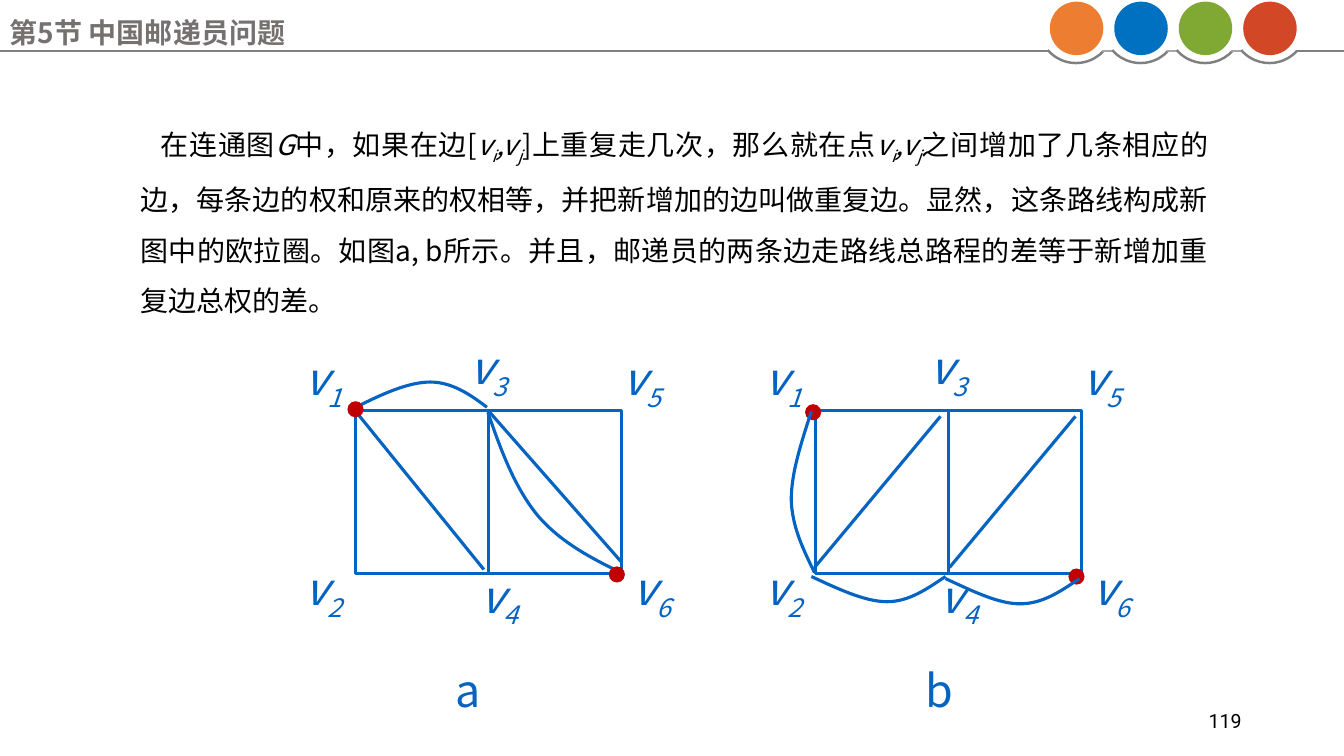
import pptx
import pptx.dml.color
import pptx.enum.shapes
import pptx.enum.text
import pptx.oxml.ns
import pptx.util
from lxml import etree

Pt = pptx.util.Pt
RGBColor = pptx.dml.color.RGBColor
SHAPE = pptx.enum.shapes.MSO_SHAPE
ALIGN = pptx.enum.text.PP_ALIGN
ANCHOR = pptx.enum.text.MSO_ANCHOR
qn = pptx.oxml.ns.qn

BLACK = RGBColor(0x00, 0x00, 0x00)
TITLE_GRAY = RGBColor(0x76, 0x71, 0x71)
RULE_GRAY = RGBColor(0x80, 0x80, 0x80)
GAP_GRAY = RGBColor(0xA6, 0xA6, 0xA6)
EDGE_BLUE = RGBColor(0x05, 0x63, 0xC1)
DOT_RED = RGBColor(0xC0, 0x00, 0x00)
CIRCLE_COLORS = [RGBColor(0xED, 0x7D, 0x31), RGBColor(0x00, 0x70, 0xC0),
                 RGBColor(0x80, 0xA9, 0x33), RGBColor(0xD2, 0x47, 0x26)]

CJK = "Noto Sans CJK SC"
RULE_Y, RULE_WIDTH, EDGE_WIDTH = 36.4, 1.77, 2.25
CIRCLE_LEFT, CIRCLE_PITCH, CIRCLE_SIZE, ARC_SIZE = 749.9, 46.05, 38.2, 53.3
GRAPH_TOP, CELL_W, CELL_H = 293, 95, 116.6
GRAPH_A, GRAPH_B = 253.8, 582.3
VERTEX_LABELS = {"1": (-43.5, 251.3), "3": (74.5, 243.4), "5": (184, 251.3),
                 "2": (-43.5, 401.3), "4": (82, 406.8), "6": (191, 401.3)}
BODY_RUNS = [
    ("在连通图", ""), ("G", "i"), ("中，如果在边[", ""),
    ("v", "i"), ("i", "sub"), (",v", "i"), ("j", "sub"),
    ("]上重复走几次，那么就在点", ""),
    ("v", "i"), ("i", "sub"), (",v", "i"), ("j", "sub"),
    ("之间增加了几条相应的边，每条边的权和原来的权相等，并把新增加的边叫做重复边。"
     "显然，这条路线构成新图中的欧拉圈。如图a, b所示。并且，邮递员的两条边走路线"
     "总路程的差等于新增加重复边总权的差。", ""),
]
CURVES_A = [
    [(254.2, 290.9), (272.9, 281.5), (291.6, 272.9), (307.4, 272.9),
     (322.6, 272.9), (335.5, 281.5), (347.8, 290.9)],
    [(443.5, 409), (421.2, 398.2), (399.6, 386.6), (383.8, 367.9),
     (367.9, 348.5), (357.8, 321.8), (348.5, 294.5)],
]
CURVES_B = [
    [(579.6, 411.8), (598.3, 420.5), (617.8, 429.8), (633.6, 429.8),
     (649.4, 429.8), (662.4, 420.5), (675.4, 411.8)],
    [(675.4, 413.3), (694.1, 421.9), (712.8, 431.3), (728.6, 431.3),
     (745.2, 431.3), (758.2, 421.9), (771.1, 413.3)],
    [(581.8, 409), (573.8, 392.4), (565.9, 376.6), (565.2, 357.1),
     (565.2, 337.7), (572.4, 316.1), (579.6, 293.8)],
]
DOTS = [(434.9, 404.6), (248.2, 286.6), (575.1, 288.7), (763.2, 406.1)]


def add_run(p, text, size, color, font=CJK, style="", bold=False):
    """Append a run; style is empty, i for italic or sub for italic subscript."""
    r = p.add_run()
    r.text = text
    r.font.size = Pt(size)
    r.font.bold = bold
    r.font.italic = style != ""
    r.font.color.rgb = color
    r.font.name = font
    props = r.font._element
    etree.SubElement(props, qn("a:ea")).set("typeface", font)
    if style == "sub":
        props.set("baseline", "-25000")


def add_text(s, x, y, w, h, wrap=True):
    """Add a text box and return its text frame."""
    tf = s.shapes.add_textbox(Pt(x), Pt(y), Pt(w), Pt(h)).text_frame
    tf.word_wrap = wrap
    return tf


def add_label(s, x, y, w, runs):
    """Add a large blue graph label made of (text, style) runs."""
    p = add_text(s, x, y, w, 40.3, wrap=False).paragraphs[0]
    p.line_spacing = 0.8
    for text, style in runs:
        add_run(p, text, 32, EDGE_BLUE, style=style)


def add_line(s, x1, y1, x2, y2, color, width):
    """Add a straight line without a shadow."""
    line = s.shapes.add_connector(pptx.enum.shapes.MSO_CONNECTOR.STRAIGHT,
                                  Pt(x1), Pt(y1), Pt(x2), Pt(y2))
    line.line.color.rgb = color
    line.line.width = Pt(width)
    etree.SubElement(line._element.spPr, qn("a:effectLst"))


def outline(sp, color, width):
    """Give a shape an outline only."""
    sp.shadow.inherit = False
    sp.fill.background()
    sp.line.color.rgb = color
    sp.line.width = Pt(width)


def add_preset(s, kind, x, y, w, h):
    """Add a preset shape."""
    return s.shapes.add_shape(kind, Pt(x), Pt(y), Pt(w), Pt(h))


def add_disc(s, kind, x, y, size, color):
    """Add a filled round shape without an outline."""
    sp = add_preset(s, kind, x, y, size, size)
    sp.shadow.inherit = False
    sp.fill.solid()
    sp.fill.fore_color.rgb = color
    sp.line.fill.background()


def add_curve(s, points):
    """Draw a chain of cubic curves as an open freeform."""
    (x, y), *rest = points
    builder = s.shapes.build_freeform(Pt(x), Pt(y))
    builder.add_line_segments([(Pt(px), Pt(py)) for px, py in rest], close=False)
    sp = builder.convert_to_shape()
    outline(sp, EDGE_BLUE, EDGE_WIDTH)
    segments = list(sp._element.iter(qn("a:lnTo")))
    for start in range(0, len(segments), 3):
        curve = etree.SubElement(segments[start].getparent(), qn("a:cubicBezTo"))
        for segment in segments[start:start + 3]:
            curve.append(segment[0])
            segment.getparent().remove(segment)


def add_header(s):
    """Draw the title, the rule and the four coloured circles."""
    add_line(s, 0, RULE_Y, 749.5, RULE_Y, RULE_GRAY, RULE_WIDTH)
    add_line(s, 925.9, RULE_Y, 960, RULE_Y, RULE_GRAY, RULE_WIDTH)
    for i, color in enumerate(CIRCLE_COLORS):
        x = CIRCLE_LEFT + i * CIRCLE_PITCH
        arc = add_preset(s, SHAPE.ARC, x - 7.9, -8.2, ARC_SIZE, ARC_SIZE)
        arc.adjustments[0] = 25.378
        arc.adjustments[1] = 83.601
        outline(arc, RULE_GRAY, RULE_WIDTH)
        add_disc(s, SHAPE.OVAL, x, 1.2, CIRCLE_SIZE, color)
        if i < len(CIRCLE_COLORS) - 1:
            add_line(s, x + 37.5, RULE_Y, x + 45.4, RULE_Y, GAP_GRAY, RULE_WIDTH)
    tf = add_text(s, 0, 7.2, 789.1, 25.9)
    add_run(tf.paragraphs[0], "第5节 中国邮递员问题", 20, TITLE_GRAY, bold=True)


def add_body(s):
    """Write the justified paragraph."""
    p = add_text(s, 93.2, 74.2, 776.9, 165.6).paragraphs[0]
    p.alignment = ALIGN.JUSTIFY
    p.line_spacing = 1.5
    p._p.get_or_add_pPr().set("indent", str(Pt(14.5)))
    for text, style in BODY_RUNS:
        add_run(p, text, 20, BLACK, style=style)


def add_graph(s, left, diagonals, caption, caption_x):
    """Draw two cells with diagonals, vertex labels and a caption."""
    for column in range(2):
        cell = add_preset(s, SHAPE.RECTANGLE, left + column * CELL_W, GRAPH_TOP, CELL_W, CELL_H)
        outline(cell, EDGE_BLUE, EDGE_WIDTH)
    for ends in diagonals:
        add_line(s, *ends, EDGE_BLUE, EDGE_WIDTH)
    for index, (dx, y) in VERTEX_LABELS.items():
        add_label(s, left + dx, y, 43.9, [("v", "i"), (index, "sub")])
    add_label(s, caption_x, 477.4, 33.8, [(caption, "")])


def main():
    """Build the slide and save it."""
    prs = pptx.Presentation()
    prs.slide_width, prs.slide_height = Pt(960), Pt(540)
    s = prs.slides.add_slide(prs.slide_layouts[6])
    add_header(s)
    add_body(s)
    add_graph(s, GRAPH_A, [(253.4, 293, 345.6, 406.8), (348.5, 293, 443.5, 401)], "a", 318.2)
    add_graph(s, GRAPH_B, [(581.8, 405.4, 671.8, 297.4), (678.2, 405.4, 768.2, 297.4)], "b", 653.9)
    for points in CURVES_A:
        add_curve(s, points)
    for x, y in DOTS:
        add_disc(s, SHAPE.FLOWCHART_CONNECTOR, x, y, 11.5, DOT_RED)
    for points in CURVES_B:
        add_curve(s, points)
    tf = add_text(s, 678, 500.4, 216, 28.8)
    tf.vertical_anchor = ANCHOR.MIDDLE
    tf.paragraphs[0].alignment = ALIGN.RIGHT
    add_run(tf.paragraphs[0], "119", 14, BLACK, font="Roboto")
    prs.save("out.pptx")


if __name__ == "__main__":
    main()
